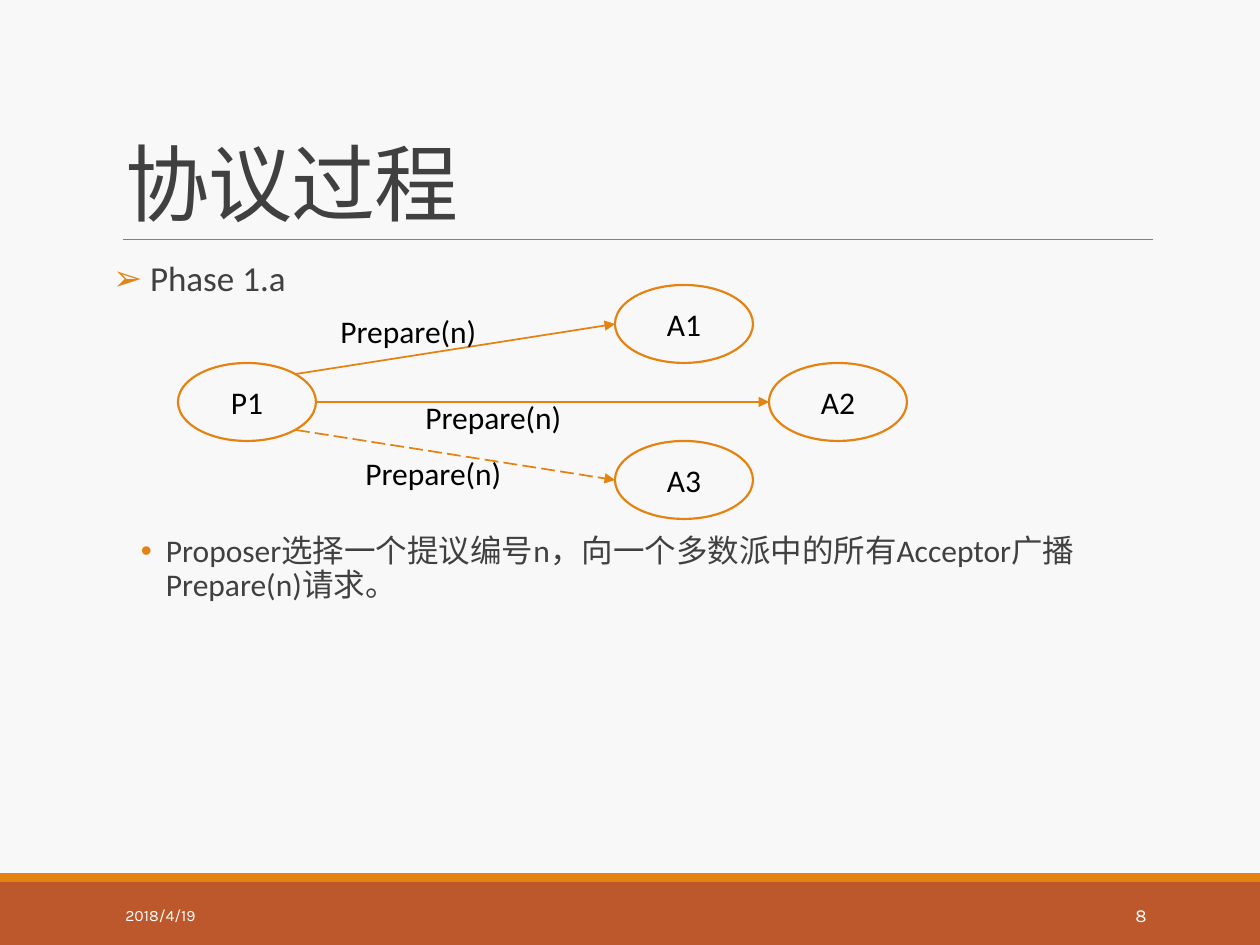
from dataclasses import dataclass
from math import cos, pi, sin

from lxml import etree
from pptx import Presentation
from pptx.dml.color import RGBColor
from pptx.enum.dml import MSO_LINE
from pptx.enum.shapes import MSO_CONNECTOR, MSO_SHAPE
from pptx.enum.text import MSO_ANCHOR, MSO_AUTO_SIZE, PP_ALIGN
from pptx.oxml.ns import qn
from pptx.util import Emu, Pt

RECTANGLE, OVAL = MSO_SHAPE.RECTANGLE, MSO_SHAPE.OVAL
STRAIGHT = MSO_CONNECTOR.STRAIGHT
LONG_DASH = MSO_LINE.LONG_DASH
TOP, MIDDLE, BOTTOM = MSO_ANCHOR.TOP, MSO_ANCHOR.MIDDLE, MSO_ANCHOR.BOTTOM
LEFT, CENTER, RIGHT = PP_ALIGN.LEFT, PP_ALIGN.CENTER, PP_ALIGN.RIGHT
NO_FIT = MSO_AUTO_SIZE.NONE
PX_PER_INCH = 126
PAGE_WIDTH, PAGE_HEIGHT = 1260, 945
NODE_WIDTH, NODE_HEIGHT = 138, 78


@dataclass(frozen=True)
class Theme:
    paper: str = "F8F8F8"
    accent: str = "E48312"
    footer: str = "BD582C"
    rule: str = "808080"
    heading: str = "404040"
    ink: str = "000000"
    light: str = "FFFFFF"
    font: str = "Calibri"
    footer_font: str = "Karla"
    title_size: float = 48
    phase_size: float = 20
    text_size: float = 18
    date_size: float = 9
    number_size: float = 10.5


THEME = Theme()


@dataclass(frozen=True)
class Node:
    name: str
    left: int
    top: int
    filled: bool = False

    def edge(self, degrees: int) -> tuple[int, int]:
        """Point on the outline, clockwise from the right end."""
        angle = degrees * pi / 180
        return (round(self.left + NODE_WIDTH / 2 * (1 + cos(angle))),
                round(self.top + NODE_HEIGHT / 2 * (1 + sin(angle))))


@dataclass(frozen=True)
class Message:
    target: Node
    leaves_at: int
    label_left: int
    label_top: int
    dashed: bool = False


@dataclass(frozen=True)
class Bullet:
    text: str
    symbol: str
    size: float
    margin: int
    hanging: int
    before: float
    after: float


PROPOSER = Node("P1", 178, 363)
ACCEPTORS = [Node("A1", 615, PROPOSER.top - NODE_HEIGHT, True),
             Node("A3", 615, PROPOSER.top + NODE_HEIGHT, True),
             Node("A2", 769, PROPOSER.top)]
MESSAGES = [Message(ACCEPTORS[0], -45, 328, 306),
            Message(ACCEPTORS[2], 0, 413, 392),
            Message(ACCEPTORS[1], 45, 353, 448, True)]
# The wide space before the second bullet leaves room for the diagram
BULLETS = [
    Bullet("Phase 1.a", "➢", THEME.phase_size, 37, 37, 0, 2),
    Bullet("Proposer选择一个提议编号n，向一个多数派中的所有Acceptor广播Prepare(n)请求。",
           "•", THEME.text_size, 53, 25, 133, 4),
]


def px(length: int) -> Emu:
    return Emu(round(length * 914400 / PX_PER_INCH))


def color(code: str) -> RGBColor:
    return RGBColor.from_string(code)


def style(para, size: float, code: str, font: str = THEME.font, align=LEFT) -> None:
    para.alignment = align
    para.font.name, para.font.size = font, Pt(size)
    para.font.color.rgb = color(code)


def place(shape, left: int, top: int, width: int, height: int) -> None:
    shape.left, shape.top = px(left), px(top)
    shape.width, shape.height = px(width), px(height)


def add_bar(page, top: int, height: int, code: str) -> None:
    bar = page.shapes.add_shape(RECTANGLE, 0, px(top), px(PAGE_WIDTH), px(height))
    bar.shadow.inherit = False
    bar.fill.solid()
    bar.fill.fore_color.rgb = color(code)
    bar.line.fill.background()


def add_line(page, start: tuple[int, int], end: tuple[int, int], code: str,
             weight: float, arrow: bool = False, dashed: bool = False) -> None:
    line = page.shapes.add_connector(STRAIGHT, *map(px, start + end))
    line.line.color.rgb = color(code)
    line.line.width = Pt(weight)
    if dashed:
        line.line.dash_style = LONG_DASH
    if arrow:
        etree.SubElement(line.line._get_or_add_ln(), qn("a:tailEnd"), type="triangle")
    etree.SubElement(line._element.spPr, qn("a:effectLst"))


def add_text(page, text: str, left: int, top: int, width: int, size: float,
             code: str, font: str = THEME.font, align=LEFT, anchor=TOP) -> None:
    box = page.shapes.add_textbox(px(left), px(top), px(width), px(50))
    frame = box.text_frame
    frame.word_wrap, frame.vertical_anchor = True, anchor
    frame.text = text
    style(frame.paragraphs[0], size, code, font, align)


def add_node(page, node: Node) -> None:
    oval = page.shapes.add_shape(OVAL, px(node.left), px(node.top),
                                 px(NODE_WIDTH), px(NODE_HEIGHT))
    oval.shadow.inherit = False
    if node.filled:
        oval.fill.solid()
        oval.fill.fore_color.rgb = color(THEME.paper)
    else:
        oval.fill.background()
    oval.line.color.rgb = color(THEME.accent)
    oval.line.width = Pt(1.25)
    oval.text_frame.vertical_anchor = MIDDLE
    oval.text_frame.text = node.name
    style(oval.text_frame.paragraphs[0], THEME.text_size, THEME.ink, align=CENTER)


def add_message(page, message: Message) -> None:
    add_line(page, PROPOSER.edge(message.leaves_at), message.target.edge(180),
             THEME.accent, 1, True, message.dashed)
    add_text(page, "Prepare(n)", message.label_left, message.label_top, 171,
             THEME.text_size, THEME.ink)


def fill_bullet(para, bullet: Bullet) -> None:
    para.text = bullet.text
    style(para, bullet.size, THEME.heading)
    para.line_spacing = 0.9
    para.space_before, para.space_after = Pt(bullet.before), Pt(bullet.after)
    properties = para._p.get_or_add_pPr()
    properties.set("marL", str(px(bullet.margin)))
    properties.set("indent", str(-px(bullet.hanging)))
    tint = etree.SubElement(properties, qn("a:buClr"))
    etree.SubElement(tint, qn("a:srgbClr"), val=THEME.accent)
    etree.SubElement(properties, qn("a:buChar"), char=bullet.symbol)


def fill_title(title) -> None:
    place(title, 113, 39, 1040, 200)
    frame = title.text_frame
    frame.auto_size, frame.vertical_anchor = NO_FIT, BOTTOM
    frame.text = "协议过程"
    para = frame.paragraphs[0]
    style(para, THEME.title_size, THEME.heading)
    para.line_spacing = 0.85
    para.runs[0].font._element.set("spc", "-50")


def fill_body(body) -> None:
    place(body, 113, 255, 1040, 554)
    frame = body.text_frame
    frame.auto_size, frame.vertical_anchor = NO_FIT, TOP
    frame.margin_left = frame.margin_right = 0
    for index, bullet in enumerate(BULLETS):
        fill_bullet(frame.add_paragraph() if index else frame.paragraphs[0], bullet)


def main() -> None:
    deck = Presentation()
    deck.slide_width, deck.slide_height = px(PAGE_WIDTH), px(PAGE_HEIGHT)
    page = deck.slides.add_slide(deck.slide_layouts[1])
    page.background.fill.solid()
    page.background.fill.fore_color.rgb = color(THEME.paper)

    # Frame and text
    add_bar(page, 882, 63, THEME.footer)
    add_bar(page, 873, 9, THEME.accent)
    add_line(page, (123, 239), (1153, 239), THEME.rule, 0.5)
    fill_title(page.shapes.title)
    fill_body(page.placeholders[1])

    # Message diagram
    for node in [PROPOSER, *ACCEPTORS]:
        add_node(page, node)
    for message in MESSAGES:
        add_message(page, message)

    # Footer
    add_text(page, "2018/4/19", 113, 890, 256, THEME.date_size, THEME.light,
             THEME.footer_font, LEFT, MIDDLE)
    add_text(page, "8", 1023, 890, 136, THEME.number_size, THEME.light,
             THEME.footer_font, RIGHT, MIDDLE)
    deck.save("out.pptx")


if __name__ == "__main__":
    main()
